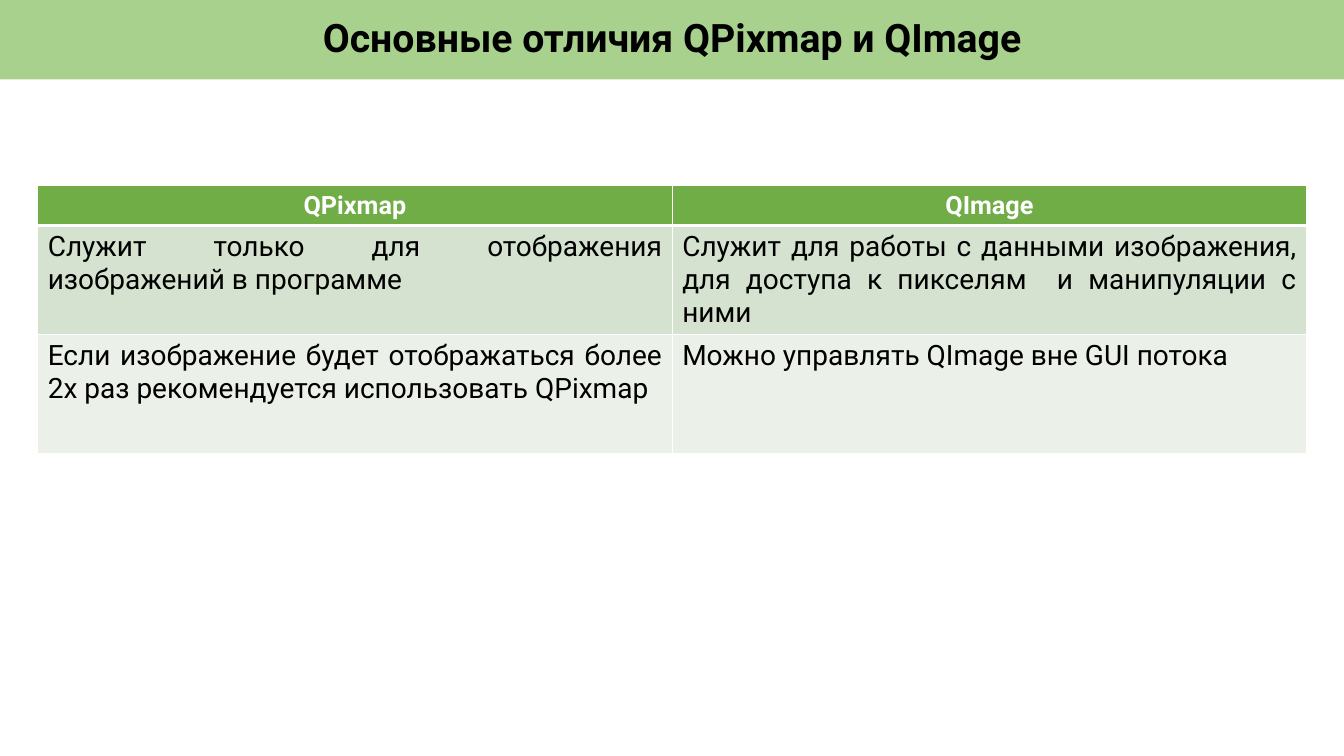
import pptx
import pptx.dml.color
import pptx.enum.shapes
import pptx.enum.text
import pptx.util
from lxml import etree
from pptx.oxml.ns import qn
from pptx.util import Cm

FONT = "Roboto"
ALIGN = pptx.enum.text.PP_ALIGN
ANCHOR = pptx.enum.text.MSO_ANCHOR
WHITE, BLACK = "FFFFFF", "000000"

ROWS = [
    ("QPixmap", "QImage"),
    ("Служит только для отображения изображений в программе",
     "Служит для работы с данными изображения, для доступа к пикселям  и манипуляции с ними"),
    ("Если изображение будет отображаться более 2х раз рекомендуется использовать QPixmap",
     "Можно управлять QImage вне GUI потока"),
]
FILLS = ["70AD47", "D4E2CF", "EBF1E8"]
HEIGHTS = [1, 2.74, 3]


def paint(fill, color):
    fill.solid()
    fill.fore_color.rgb = pptx.dml.color.RGBColor.from_string(color)


def write(frame, text, size, color, bold, align):
    frame.text = text
    par = frame.paragraphs[0]
    par.alignment = align
    font = par.runs[0].font
    font.name, font.size, font.bold = FONT, pptx.util.Pt(size), bold
    paint(font.fill, color)
    return par


def edge(cell, side, width):
    props = cell._tc.get_or_add_tcPr()
    line = etree.SubElement(props, qn("a:ln" + side), w=str(pptx.util.Pt(width)))
    fill = etree.SubElement(line, qn("a:solidFill"))
    etree.SubElement(fill, qn("a:srgbClr"), val=WHITE)


def add_title(slide, text):
    bar = slide.shapes.add_shape(
        pptx.enum.shapes.MSO_SHAPE.RECTANGLE, 0, 0, Cm(33.87), Cm(2))
    bar.shadow.inherit = False
    paint(bar.fill, "A9D18E")
    bar.line.fill.background()
    bar.text_frame.vertical_anchor = ANCHOR.MIDDLE
    par = write(bar.text_frame, text, 28, BLACK, True, ALIGN.CENTER)
    par.line_spacing = 0.9


def add_grid(slide):
    frame = slide.shapes.add_table(
        len(ROWS), 2, Cm(0.95), Cm(4.68), Cm(31.98), Cm(sum(HEIGHTS)))
    table = frame.table
    for r, texts in enumerate(ROWS):
        table.rows[r].height = Cm(HEIGHTS[r])
        head = r == 0
        for c, text in enumerate(texts):
            cell = table.cell(r, c)
            # Borders come before the fill; the header rule is thick
            for side in "LRTB":
                thick = (r, side) in ((0, "B"), (1, "T"))
                edge(cell, side, 3 if thick else 1)
            paint(cell.fill, FILLS[r])
            if head:
                write(cell.text_frame, text, 18, WHITE, True, ALIGN.CENTER)
            else:
                write(cell.text_frame, text, 20, BLACK, False, ALIGN.JUSTIFY)


def main():
    deck = pptx.Presentation()
    deck.slide_width, deck.slide_height = Cm(33.87), Cm(19.05)
    slide = deck.slides.add_slide(deck.slide_layouts[6])
    # Title bar
    add_title(slide, "Основные отличия QPixmap и QImage")
    # Comparison table
    add_grid(slide)
    deck.save("out.pptx")


if __name__ == "__main__":
    main()
